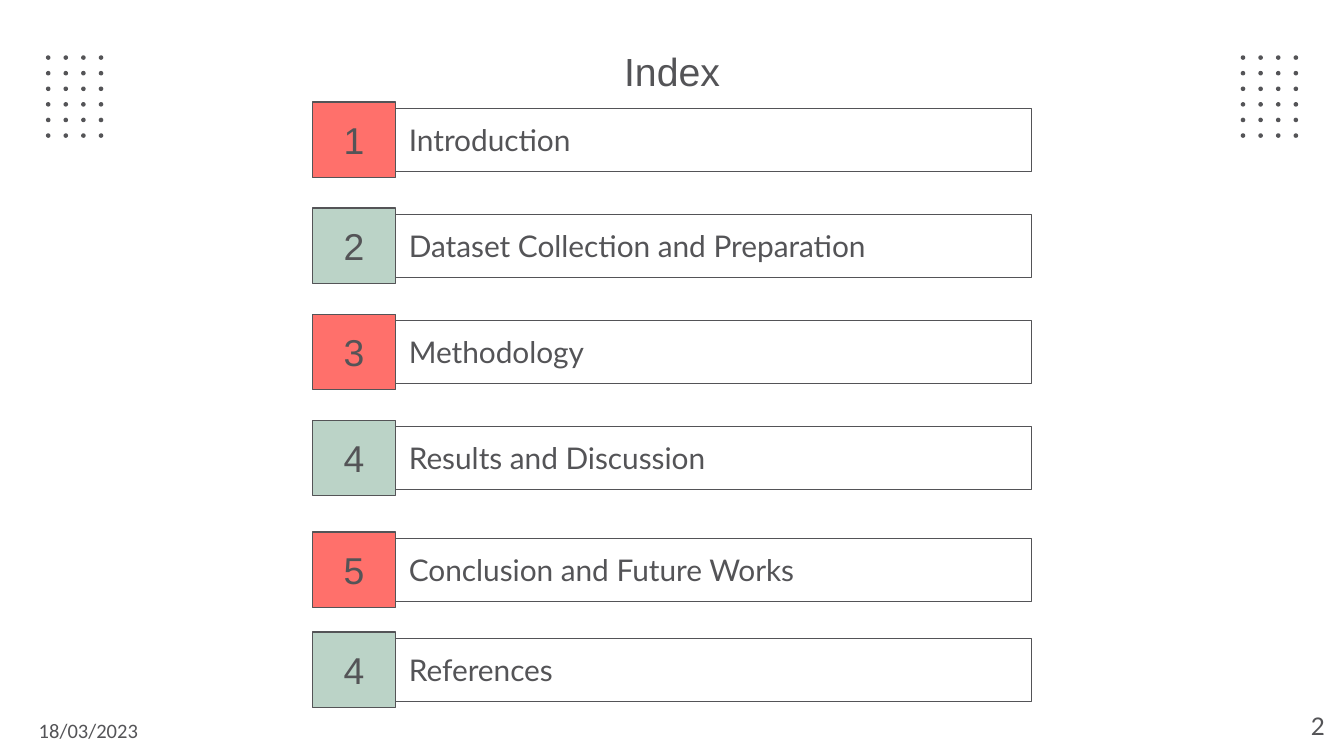
"""Builds the index slide: numbered section bars between two dot grids."""
from dataclasses import dataclass
from itertools import product

from pptx import Presentation
from pptx.dml.color import RGBColor
from pptx.enum.shapes import MSO_SHAPE as Preset
from pptx.enum.text import MSO_ANCHOR as Anchor, PP_ALIGN as Align
from pptx.shapes.autoshape import Shape
from pptx.slide import Slide
from pptx.util import Inches, Pt

COLUMNS, ROWS = 100, 56.25
CELL = Inches(0.1)


@dataclass(frozen=True)
class Theme:
    """Colours, fonts and type sizes."""
    ink: str = "545457"
    coral: str = "FF706B"
    sage: str = "BBD3C7"
    heading_font: str = "Arial"
    body_font: str = "Lato"
    date_font: str = "Calibri"
    title_size: float = 21
    number_size: float = 20
    section_size: float = 16
    page_size: float = 13
    date_size: float = 11
    outline: float = 0.75


@dataclass(frozen=True)
class Area:
    """A place on the grid, in columns and rows."""
    column: float
    row: float
    width: float
    height: float

    def emu(self) -> tuple[int, ...]:
        """Returns left, top, width and height for python-pptx."""
        return tuple(round(cells * CELL)
                     for cells in (self.column, self.row, self.width, self.height))


@dataclass(frozen=True)
class Section:
    """One entry of the index."""
    number: str
    name: str
    row: float
    color: str


@dataclass(frozen=True)
class Lettering:
    """How a line of text is set."""
    font: str
    size: float
    align: Align = Align.LEFT
    anchor: Anchor = Anchor.TOP


THEME = Theme()
TITLE = Lettering(THEME.heading_font, THEME.title_size, Align.CENTER, Anchor.MIDDLE)
NUMBER = Lettering(THEME.heading_font, THEME.number_size, Align.CENTER, Anchor.MIDDLE)
NAME = Lettering(THEME.body_font, THEME.section_size)
PAGE = Lettering(THEME.body_font, THEME.page_size, Align.RIGHT)
DATE = Lettering(THEME.date_font, THEME.date_size)

FIRST_ROW, ROW_STEP = 7.6, 7.89
SECTIONS = (
    Section("1", "Introduction", FIRST_ROW, THEME.coral),
    Section("2", "Dataset Collection and Preparation", FIRST_ROW + ROW_STEP, THEME.sage),
    Section("3", "Methodology", FIRST_ROW + 2 * ROW_STEP, THEME.coral),
    Section("4", "Results and Discussion", FIRST_ROW + 3 * ROW_STEP, THEME.sage),
    Section("5", "Conclusion and Future Works", 39.6, THEME.coral),
    Section("4", "References", 47.04, THEME.sage),
)


def write(shape: Shape, text: str, style: Lettering) -> None:
    """Sets one line of text in a shape."""
    frame = shape.text_frame
    frame.word_wrap = True
    frame.vertical_anchor = style.anchor
    frame.margin_left = frame.margin_right = CELL
    frame.margin_top = frame.margin_bottom = CELL
    line = frame.paragraphs[0]
    line.text = text
    line.alignment = style.align
    line.font.name = style.font
    line.font.size = Pt(style.size)
    line.font.color.rgb = RGBColor.from_string(THEME.ink)


def add_label(slide: Slide, area: Area, text: str, style: Lettering) -> Shape:
    """Adds free-standing text."""
    label = slide.shapes.add_textbox(*area.emu())
    write(label, text, style)
    return label


def add_box(slide: Slide, area: Area, text: str, style: Lettering,
            color: str | None = None) -> None:
    """Adds an outlined rectangle with text, filled if a colour is given."""
    box = slide.shapes.add_shape(Preset.RECTANGLE, *area.emu())
    box.shadow.inherit = False
    if color:
        box.fill.solid()
        box.fill.fore_color.rgb = RGBColor.from_string(color)
    else:
        box.fill.background()
    box.line.color.rgb = RGBColor.from_string(THEME.ink)
    box.line.width = Pt(THEME.outline)
    write(box, text, style)


def add_section(slide: Slide, section: Section) -> None:
    """Adds the number tile and the name bar of a section."""
    tile = Area(23.24, section.row, 6.2, 5.62)
    bar = Area(tile.column + tile.width, section.row + 0.46, 47.3, 4.7)
    add_box(slide, tile, section.number, NUMBER, section.color)
    add_box(slide, bar, section.name, NAME)


def add_dots(slide: Slide, column: float) -> None:
    """Adds a grouped grid of six rows of four dots."""
    dots = slide.shapes.add_group_shape()
    for down, across in product(range(6), range(4)):
        area = Area(column + 1.31 * across, 4.12 + 1.16 * down, 0.34, 0.34)
        dot = dots.shapes.add_shape(Preset.OVAL, *area.emu())
        dot.shadow.inherit = False
        dot.fill.solid()
        dot.fill.fore_color.rgb = RGBColor.from_string(THEME.ink)
        dot.line.fill.background()


def main() -> None:
    """Builds and saves the slide."""
    deck = Presentation()
    deck.slide_width = round(COLUMNS * CELL)
    deck.slide_height = round(ROWS * CELL)
    slide = deck.slides.add_slide(deck.slide_layouts[6])
    add_label(slide, Area(1.9, 52.5, 19.6, 3.9), "18/03/2023", DATE)
    for column in (3.42, 92.32):
        add_dots(slide, column)
    title = add_label(slide, Area(7.86, 2.3, 84.3, 6.3), "Index", TITLE)
    title.text_frame.margin_top = round(0.7 * CELL)
    for section in SECTIONS:
        add_section(slide, section)
    add_label(slide, Area(93.56, 51.94, 6, 4.3), "2", PAGE)
    deck.save("out.pptx")


if __name__ == "__main__":
    main()
